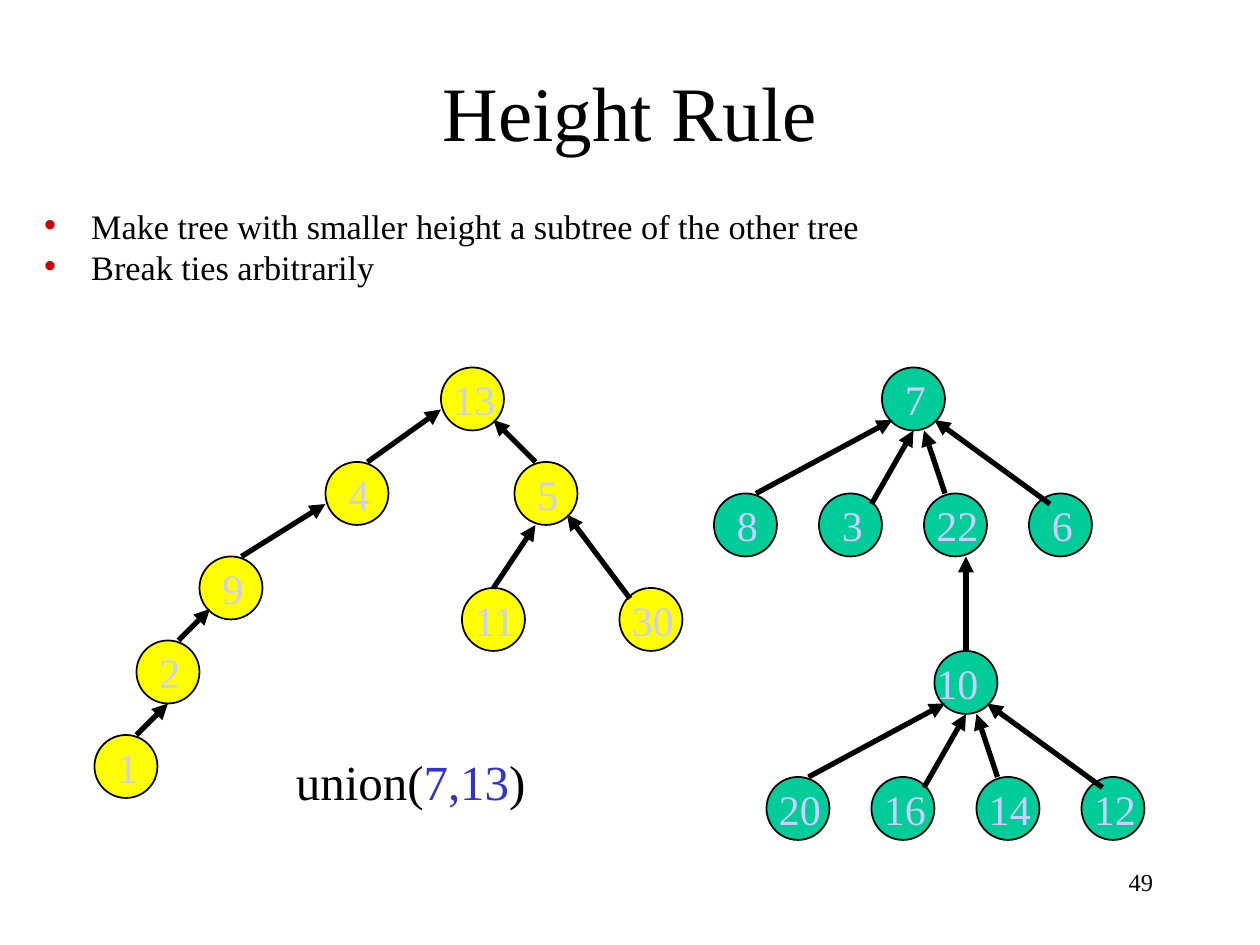
import pptx
import pptx.dml.color
import pptx.enum.shapes
import pptx.enum.text
import pptx.oxml
import pptx.oxml.ns
import pptx.util
from lxml import etree

TITLE = "Height Rule"
BULLETS = [
    "Make tree with smaller height a subtree of the other tree",
    "Break ties arbitrarily",
]
UNION_PARTS = [("union(", "ink"), ("7,13", "accent"), (")", "ink")]
PAGE_NUMBER = "49"

# Positions are in grid steps, twelve to 2.54 cm.
LEFT_NODES = [
    ("13", 42, 35), ("4", 31, 44), ("5", 49, 44), ("9", 19, 53),
    ("11", 44, 56), ("30", 59, 56), ("2", 13, 61), ("1", 9, 70),
]
LEFT_ARROWS = [
    (42, 39, 35, 44), (47, 40, 51, 44), (31, 48, 23, 53), (51, 50, 47, 56),
    (54, 49, 60, 57), (20, 58, 17, 61), (16, 67, 13, 70),
]
FANS = [
    ("7", 84, 35, 1, ["8", "3", "22", "6"]),
    ("10", 89, 62, -1, ["20", "16", "14", "12"]),
]
FAN_ARROWS = [(1, 5, -12, 12), (3, 6, -1, 13), (4, 6, 6, 12), (5, 5, 16, 13)]
FAN_START, FAN_PITCH, FAN_DROP = -16, 10, 12
FAN_LINK = (92, 53, 92, 62)
NODE_SIZE = 6

THEME = {
    "font": "Times New Roman",
    "ink": "000000",
    "accent": "3333CC",
    "bullet": "CE0000",
    "label": "CCCCFF",
    "left_tree": "FFFF00",
    "right_tree": "00CC99",
    "title_size": 44,
    "body_size": 19.6,
    "label_size": 24,
    "union_size": 28,
    "page_size": 14,
}


def grid(*steps):
    return [pptx.util.Cm(step * 2.54 / 12) for step in steps]


def color(name):
    return pptx.dml.color.RGBColor.from_string(THEME[name])


def format_run(run, size, color_name="ink"):
    run.font.name = THEME["font"]
    run.font.size = pptx.util.Pt(THEME[size])
    run.font.color.rgb = color(color_name)


def place(shape, *box):
    shape.left, shape.top, shape.width, shape.height = grid(*box)


def add_text(shapes, box, parts, size):
    text_box = shapes.add_textbox(*grid(*box))
    text_box.text_frame.word_wrap = True
    paragraph = text_box.text_frame.paragraphs[0]
    for text, color_name in parts:
        run = paragraph.add_run()
        run.text = text
        format_run(run, size, color_name)
    return paragraph


def add_node(shapes, label, left, top, fill, label_shift=None):
    circle = shapes.add_shape(
        pptx.enum.shapes.MSO_SHAPE.OVAL, *grid(left, top, NODE_SIZE, NODE_SIZE))
    circle.shadow.inherit = False
    circle.fill.solid()
    circle.fill.fore_color.rgb = color(fill)
    circle.line.color.rgb = color("ink")
    circle.line.width = pptx.util.Pt(1)
    single = len(label) == 1
    if label_shift is None:
        label_shift = 1 if single else 0
    box = (left + label_shift, top, 5 if single else 9, NODE_SIZE)
    add_text(shapes, box, [(label, "label")], "label_size")


def add_arrow(shapes, *ends):
    arrow = shapes.add_connector(
        pptx.enum.shapes.MSO_CONNECTOR.STRAIGHT, *grid(*ends))
    arrow.line.color.rgb = color("ink")
    arrow.line.width = pptx.util.Pt(3)
    line = arrow.line._get_or_add_ln()
    etree.SubElement(line, pptx.oxml.ns.qn("a:headEnd"), type="triangle")
    etree.SubElement(arrow._element.spPr, pptx.oxml.ns.qn("a:effectLst"))


def add_bullet(paragraph):
    properties = paragraph._p.get_or_add_pPr()
    properties.set("marL", str(pptx.util.Cm(0.95)))
    properties.set("indent", str(pptx.util.Cm(-0.95)))
    bullet_color = etree.SubElement(properties, pptx.oxml.ns.qn("a:buClr"))
    etree.SubElement(
        bullet_color, pptx.oxml.ns.qn("a:srgbClr"), val=THEME["bullet"])
    etree.SubElement(properties, pptx.oxml.ns.qn("a:buChar"), char="•")


def add_headings(slide):
    title, body = slide.placeholders[0], slide.placeholders[1]
    place(title, 9, 3, 102, 15)
    place(body, 3, 20, 117, 8)
    for placeholder in (title, body):
        placeholder.text_frame.auto_size = pptx.enum.text.MSO_AUTO_SIZE.NONE
    title.text_frame.text = TITLE
    title.text_frame.vertical_anchor = pptx.enum.text.MSO_ANCHOR.MIDDLE
    title.text_frame.paragraphs[0].alignment = pptx.enum.text.PP_ALIGN.CENTER
    format_run(title.text_frame.paragraphs[0].runs[0], "title_size")
    body.text_frame.text = "\n".join(BULLETS)
    for index, paragraph in enumerate(body.text_frame.paragraphs):
        add_bullet(paragraph)
        paragraph.line_spacing = 0.7
        paragraph.space_before = pptx.util.Pt(7 if index else 0)
        format_run(paragraph.runs[0], "body_size")


def add_left_tree(slide):
    shapes = slide.shapes.add_group_shape().shapes
    for label, left, top in LEFT_NODES:
        add_node(shapes, label, left, top, "left_tree")
    for ends in LEFT_ARROWS:
        add_arrow(shapes, *ends)


def add_right_tree(slide):
    shapes = slide.shapes.add_group_shape().shapes
    for root, left, top, shift, children in FANS:
        add_node(shapes, root, left, top, "right_tree", shift)
        for index, child in enumerate(children):
            child_left = left + FAN_START + index * FAN_PITCH
            add_node(shapes, child, child_left, top + FAN_DROP, "right_tree")
        for x1, y1, x2, y2 in FAN_ARROWS:
            add_arrow(shapes, left + x1, top + y1, left + x2, top + y2)
    add_arrow(shapes, *FAN_LINK)


def main():
    presentation = pptx.Presentation()
    presentation.slide_width = pptx.util.Cm(25.4)
    presentation.slide_height = pptx.util.Cm(19.05)
    slide = presentation.slides.add_slide(presentation.slide_layouts[1])
    add_headings(slide)
    add_left_tree(slide)
    add_right_tree(slide)
    add_text(slide.shapes, (27, 71, 31, 7), UNION_PARTS, "union_size")
    page = add_text(
        slide.shapes, (86, 82, 25, 6), [(PAGE_NUMBER, "ink")], "page_size")
    page.alignment = pptx.enum.text.PP_ALIGN.RIGHT
    presentation.save("out.pptx")


if __name__ == "__main__":
    main()
